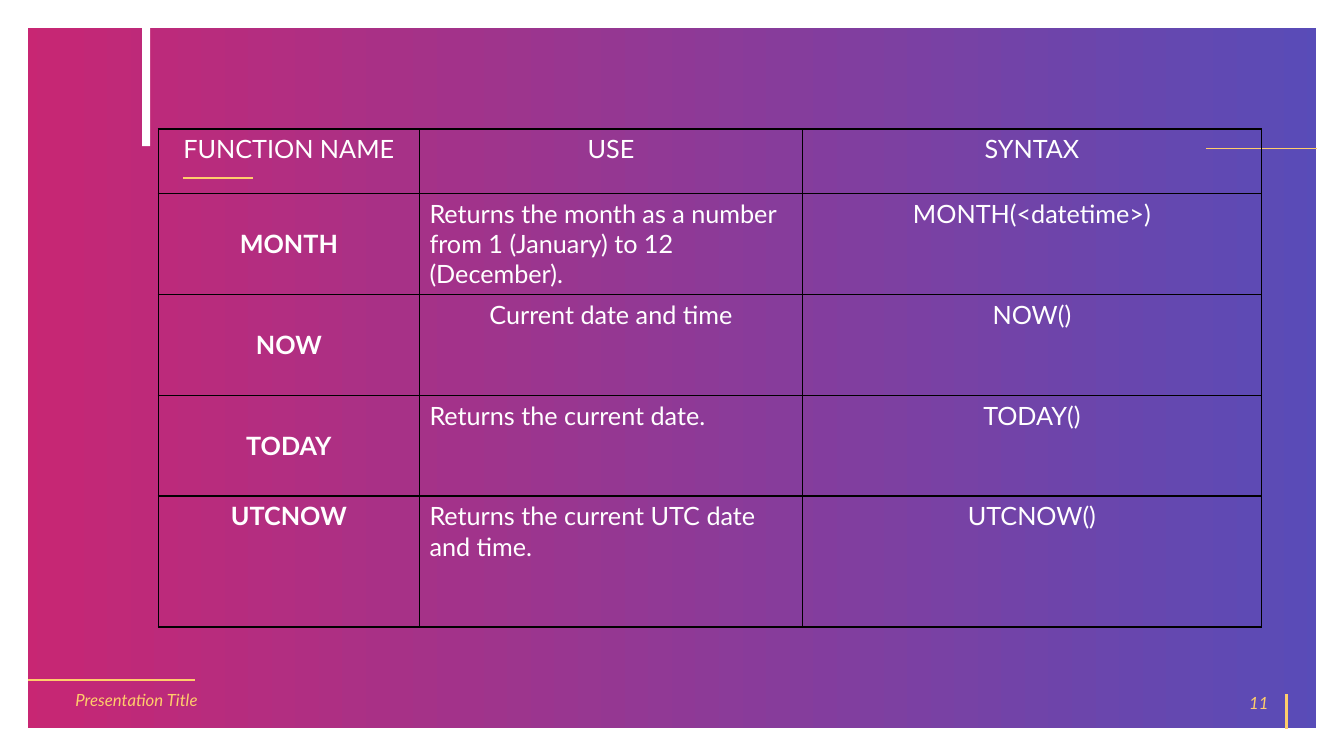
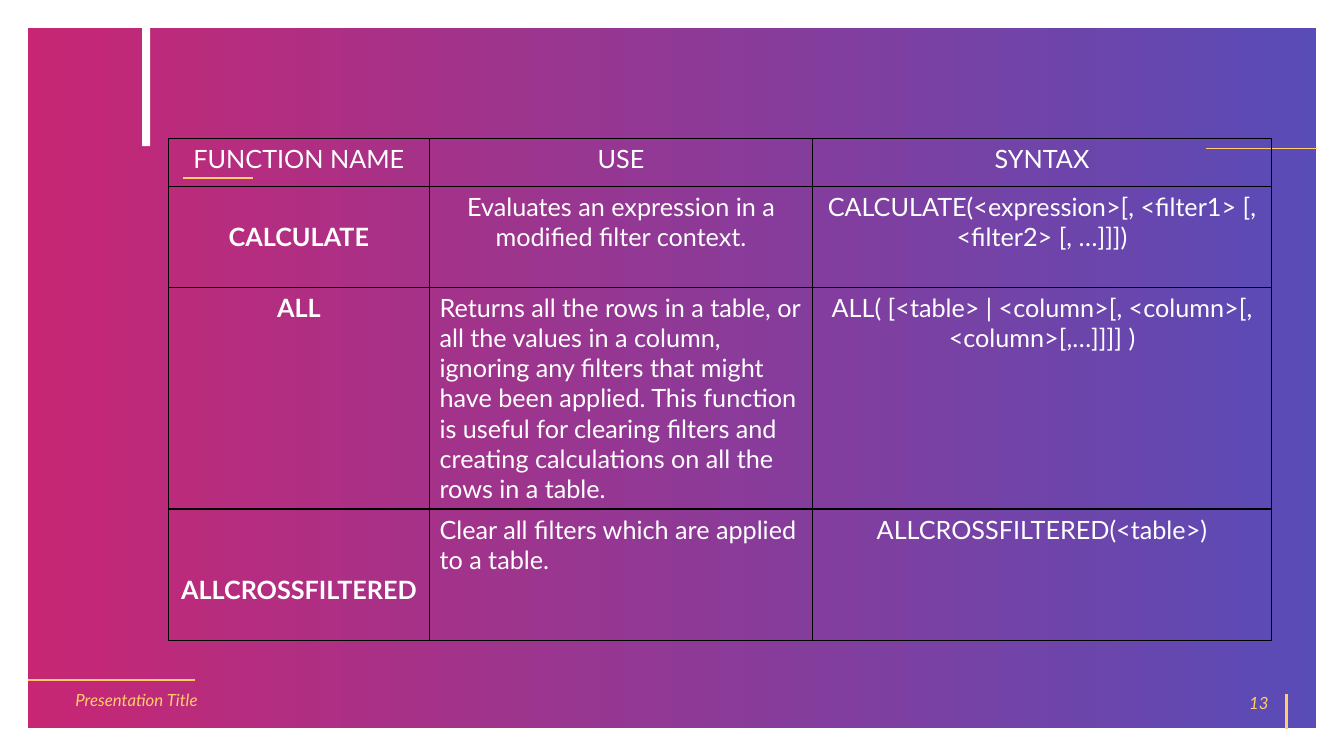
import pptx
import pptx.dml.color
import pptx.enum.shapes
import pptx.enum.text
import pptx.oxml
import pptx.oxml.ns
import pptx.util

PX = 9144  # EMU per px, at 100 px to the inch
FONT = "Lato"
WHITE, BLACK, GOLD = "FFFFFF", "000000", "FFCD6B"
PINK, VIOLET = "C82673", "584CB8"
LEFT, CENTER, RIGHT = (pptx.enum.text.PP_ALIGN.LEFT, pptx.enum.text.PP_ALIGN.CENTER,
                       pptx.enum.text.PP_ALIGN.RIGHT)

COLUMN_WIDTHS = (259, 380, 455)
HEADINGS = ("FUNCTION NAME", "USE", "SYNTAX")
LINE_HEIGHT = 30
CELL_MARGIN = 5

# Each row: height, name, lines the name is lowered by, use, alignment of use, syntax
DATE_ROWS = [
    (100, "MONTH", 1, "Returns the month as a number from 1 (January) to 12 (December).",
     LEFT, "MONTH(<datetime>)"),
    (100, "NOW", 1, "Current date and time", CENTER, "NOW()"),
    (100, "TODAY", 1, "Returns the current date.", LEFT, "TODAY()"),
    (130, "UTCNOW", 0, "Returns the current UTC date and time.", LEFT, "UTCNOW()"),
]
FILTER_ROWS = [
    (100, "CALCULATE", 1, "Evaluates an expression in a modified filter context.",
     CENTER, "CALCULATE(<expression>[, <filter1> [, <filter2> [, …]]])"),
    (220, "ALL", 0, "Returns all the rows in a table, or all the values in a column, "
     "ignoring any filters that might have been applied. This function is useful for "
     "clearing filters and creating calculations on all the rows in a table.",
     LEFT, "ALL( [<table> | <column>[, <column>[, <column>[,…]]]] )"),
    (130, "ALLCROSSFILTERED", 2, "Clear all filters which are applied to a table.",
     LEFT, "ALLCROSSFILTERED(<table>)"),
]


def px(*lengths):
    return [pptx.util.Emu(length * PX) for length in lengths]


def color(value):
    return pptx.dml.color.RGBColor.from_string(value)


def write(frame, text, size, ink, alignment, bold=False, italic=False):
    frame.text = text
    para = frame.paragraphs[0]
    para.alignment = alignment
    font = para.runs[0].font
    font.name, font.size = FONT, pptx.util.Pt(size)
    font.bold, font.italic = bold, italic
    font.color.rgb = color(ink)


def add_rectangle(page, box):
    shape = page.shapes.add_shape(pptx.enum.shapes.MSO_SHAPE.RECTANGLE, *px(*box))
    shape.shadow.inherit = False
    return shape


def add_rule(page, start, end, width):
    rule = page.shapes.add_connector(pptx.enum.shapes.MSO_CONNECTOR.STRAIGHT,
                                     *px(*start, *end))
    rule.line.color.rgb = color(GOLD)
    rule.line.width = pptx.util.Pt(width)
    properties = rule.element.find(pptx.oxml.ns.qn("p:spPr"))
    properties.append(properties.makeelement(pptx.oxml.ns.qn("a:effectLst"), {}))


def add_footer_text(page, box, text, alignment):
    footer = page.shapes.add_textbox(*px(*box))
    footer.text_frame.word_wrap = True
    footer.text_frame.vertical_anchor = pptx.enum.text.MSO_ANCHOR.MIDDLE
    write(footer.text_frame, text, 12, GOLD, alignment, italic=True)


def add_frame(page):
    """Draw the gradient panel, the accent rules and the footer title."""
    panel = add_rectangle(page, (13, 13, 1307, 724))
    panel.fill.gradient()
    panel.fill.gradient_angle = 0
    for stop, position, value in zip(panel.fill.gradient_stops, (0, 1), (PINK, VIOLET)):
        stop.position = position
        stop.color.rgb = color(value)
    panel.line.color.rgb = color(WHITE)
    panel.line.width = pptx.util.Pt(21.5)

    bar = add_rectangle(page, (141, 27, 8, 118))
    bar.fill.solid()
    bar.fill.fore_color.rgb = color(WHITE)
    bar.line.fill.background()

    add_rule(page, (182, 177), (251, 177), 1.5)
    add_rule(page, (1196, 147), (1306, 147), 0.5)
    add_rule(page, (1276, 689), (1276, 723), 1.5)
    add_rule(page, (28, 675), (193, 675), 1.5)
    add_footer_text(page, (65, 674, 305, 40), "Presentation Title", LEFT)


def move_to_layout(page, layout):
    """Turn everything on the page into fixed parts of its layout."""
    for placeholder in list(layout.placeholders):
        layout.shapes.element.remove(placeholder.element)
    for shape in list(page.shapes):
        layout.shapes.element.append(shape.element)


def format_cell(cell, text, alignment, bold=False, lowered=0):
    write(cell.text_frame, text, 18, WHITE, alignment, bold)
    cell.margin_top, cell.margin_bottom = px(CELL_MARGIN + lowered * LINE_HEIGHT,
                                             CELL_MARGIN)
    properties = cell._tc.get_or_add_tcPr()
    for side in ("lnL", "lnR", "lnT", "lnB"):
        properties.append(pptx.oxml.parse_xml(
            f'<a:{side} {pptx.oxml.ns.nsdecls("a")} w="12700"><a:solidFill>'
            f'<a:srgbClr val="{BLACK}"/></a:solidFill></a:{side}>'))
    cell.fill.background()


def add_function_table(page, left, top, heading_height, rows):
    heights = [heading_height] + [row[0] for row in rows]
    table = page.shapes.add_table(len(heights), len(COLUMN_WIDTHS),
                                  *px(left, top, sum(COLUMN_WIDTHS), sum(heights))).table
    table.first_row = table.horz_banding = False
    for column, width in zip(table.columns, px(*COLUMN_WIDTHS)):
        column.width = width
    for row, height in zip(table.rows, px(*heights)):
        row.height = height
    for index, heading in enumerate(HEADINGS):
        format_cell(table.cell(0, index), heading, CENTER)
    for index, (_, name, lowered, use, alignment, syntax) in enumerate(rows, 1):
        format_cell(table.cell(index, 0), name, CENTER, bold=True, lowered=lowered)
        format_cell(table.cell(index, 1), use, alignment)
        format_cell(table.cell(index, 2), syntax, CENTER)


def main():
    deck = pptx.Presentation()
    deck.slide_width, deck.slide_height = px(1333, 750)
    layout = deck.slide_layouts[6]
    pages = [deck.slides.add_slide(layout) for _ in range(2)]
    add_frame(pages[0])
    move_to_layout(pages[0], layout)

    tables = ((157, 128, 64, DATE_ROWS), (167, 137, 48, FILTER_ROWS))
    for page, number, table in zip(pages, ("11", "13"), tables):
        add_footer_text(page, (968, 677, 300, 40), number, RIGHT)
        add_function_table(page, *table)
    deck.save("out.pptx")


if __name__ == "__main__":
    main()
